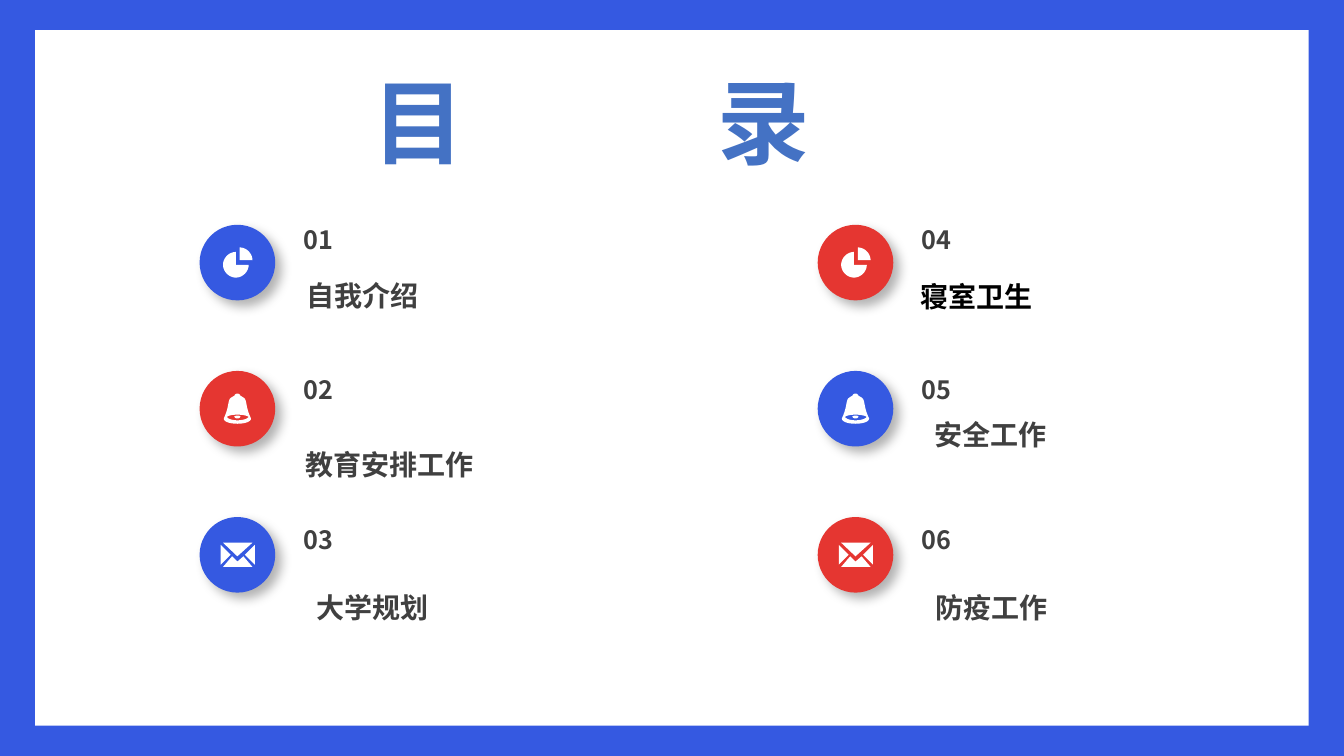
import pptx
import pptx.util
import pptx.dml.color
import pptx.enum.shapes
import pptx.enum.text
import pptx.oxml

THEME = {
    "font": "Noto Sans CJK SC",
    "blue": "3559E1", "red": "E53631", "white": "FFFFFF",
    "title_color": "4472C4", "text_color": "404040", "black": "000000",
    "title_size": 66, "number_size": 18, "label_size": 20,
}
NAMESPACE = 'xmlns:a="http://schemas.openxmlformats.org/drawingml/2006/main"'
SHADOW = (
    f'<a:effectLst {NAMESPACE}><a:outerShdw blurRad="101600" dist="76200" dir="2700000" algn="tl">'
    '<a:srgbClr val="000000"><a:alpha val="30000"/></a:srgbClr></a:outerShdw></a:effectLst>'
)
TITLE_TAB = f'<a:tabLst {NAMESPACE}><a:tab pos="{pptx.util.Inches(3.43)}" algn="l"/></a:tabLst>'

PIE = [
    [(53, 47), (53, 30), (62, 30, 70, 38, 70, 47)],
    [(48, 53), (65, 53), (65, 62, 57, 70, 48, 70), (39, 70, 31, 62, 31, 53), (31, 44, 39, 36, 48, 36)],
]
BELL = [
    [(46, 60), (49, 59, 52, 59, 54, 60), (54, 62, 52, 63, 50, 63), (48, 63, 46, 62, 46, 60)],
    [(36, 61), (40, 57, 60, 57, 65, 61), (60, 67, 40, 67, 36, 61)],
    [(68, 63), (68, 68, 58, 70, 50, 70), (42, 70, 32, 68, 32, 63), (39, 48, 37, 43, 40, 37),
     (42, 35, 44, 34, 46, 33), (46, 32, 48, 30, 50, 30), (52, 30, 54, 32, 54, 33),
     (56, 34, 58, 35, 60, 37), (63, 43, 61, 48, 68, 63)],
]
ENVELOPE = [
    [(31, 34), (70, 34), (50, 52)],
    [(28, 37), (41, 50), (28, 63)],
    [(73, 37), (60, 50), (73, 63)],
    [(31, 66), (43, 52), (50, 59), (58, 52), (70, 66)],
]
ICONS = [PIE, BELL, ENVELOPE]
CURVE_STEPS = 10

presentation = pptx.Presentation()
presentation.slide_width = pptx.util.Inches(13.33)
presentation.slide_height = pptx.util.Inches(7.5)
width, height = presentation.slide_width, presentation.slide_height
slide = presentation.slides.add_slide(presentation.slide_layouts[6])


def paint(shape, color):
    shape.shadow.inherit = False
    shape.fill.solid()
    shape.fill.fore_color.rgb = pptx.dml.color.RGBColor.from_string(color)
    shape.line.fill.background()


def add_text(text, box, size, color, insets, paragraph_format):
    left, top, box_width, box_height = box
    shape = slide.shapes.add_textbox(
        int(left * width), int(top * height), int(box_width * width), int(box_height * height))
    frame_format = {
        "word_wrap": True, "auto_size": pptx.enum.text.MSO_AUTO_SIZE.SHAPE_TO_FIT_TEXT,
        "margin_left": pptx.util.Inches(insets[0]), "margin_right": pptx.util.Inches(0.1),
        "margin_top": pptx.util.Inches(insets[1]), "margin_bottom": pptx.util.Inches(insets[1]),
    }
    paragraph = shape.text_frame.paragraphs[0]
    run = paragraph.add_run()
    run.text = text
    font_format = {"name": THEME["font"], "size": pptx.util.Pt(size), "bold": True}
    for target, values in ((shape.text_frame, frame_format), (paragraph, paragraph_format),
                           (run.font, font_format)):
        for name, value in values.items():
            setattr(target, name, value)
    run.font.color.rgb = pptx.dml.color.RGBColor.from_string(color)
    east_asian = pptx.oxml.parse_xml(f'<a:ea {NAMESPACE} typeface="{THEME["font"]}"/>')
    run.font._element.append(east_asian)
    return paragraph


frame_x, frame_y = pptx.util.Inches(0.35), pptx.util.Inches(0.3)
for inset_x, inset_y, color in ((0, 0, THEME["blue"]), (frame_x, frame_y, THEME["white"])):
    panel = slide.shapes.add_shape(
        pptx.enum.shapes.MSO_SHAPE.RECTANGLE, inset_x, inset_y, width - 2 * inset_x, height - 2 * inset_y)
    paint(panel, color)

title = add_text("目\t录", (0.2416, 0.08, 0.5956, 0.1613), THEME["title_size"],
                 THEME["title_color"], (0.47, 0.05), {})
title._p.get_or_add_pPr().append(pptx.oxml.parse_xml(TITLE_TAB))

entries = [
    ("自我介绍", 0.2183, 0.3373, "text_color"), ("教育安排工作", 0.2176, 0.56, "text_color"),
    ("大学规划", 0.2258, 0.7493, "text_color"), ("寝室卫生", 0.6752, 0.3387, "black"),
    ("安全工作", 0.6857, 0.5213, "text_color"), ("防疫工作", 0.6864, 0.7493, "text_color"),
]
column_lefts = (0.1485, 0.6084)
first_row, row_pitch = 0.2973, 0.1933
number_tops = (0.2907, 0.488, 0.6867)
circle_size = height // 10

for index, (label, label_left, label_top, label_color) in enumerate(entries):
    column, row = divmod(index, len(ICONS))
    left = int(column_lefts[column] * width)
    top = int((first_row + row * row_pitch) * height)
    circle = slide.shapes.add_shape(
        pptx.enum.shapes.MSO_SHAPE.OVAL, left, top, circle_size, circle_size)
    paint(circle, THEME[("blue", "red")[index % 2]])
    properties = circle._element.spPr
    properties.remove(properties.find(pptx.oxml.ns.qn("a:effectLst")))
    properties.append(pptx.oxml.parse_xml(SHADOW))

    builder = None
    for start, *segments in ICONS[row]:
        points = [start]
        for segment in segments:
            if len(segment) == 2:
                points.append(segment)
                continue
            x0, y0 = points[-1]
            x1, y1, x2, y2, x3, y3 = segment
            for step in range(1, CURVE_STEPS + 1):
                t = step / CURVE_STEPS
                a, b, c, d = (1 - t) ** 3, 3 * t * (1 - t) ** 2, 3 * t * t * (1 - t), t ** 3
                points.append((a * x0 + b * x1 + c * x2 + d * x3, a * y0 + b * y1 + c * y2 + d * y3))
        outline = [(left + x * circle_size / 100, top + y * circle_size / 100) for x, y in points]
        if builder is None:
            builder = slide.shapes.build_freeform(*outline[0])
        else:
            builder.move_to(*outline[0])
        builder.add_line_segments(outline[1:], close=True)
    paint(builder.convert_to_shape(), THEME["white"])

    add_text(f"{index + 1:02d}", (column_lefts[column] + 0.07, number_tops[row], 0.25, 0.0533),
             THEME["number_size"], THEME["text_color"], (0.1, 0.05),
             {"space_before": pptx.util.Pt(3.6)})
    add_text(label, (label_left, label_top, 0.32, 0.0853), THEME["label_size"],
             THEME[label_color], (0.13, 0.07), {"line_spacing": 1.5})

presentation.save("out.pptx")
